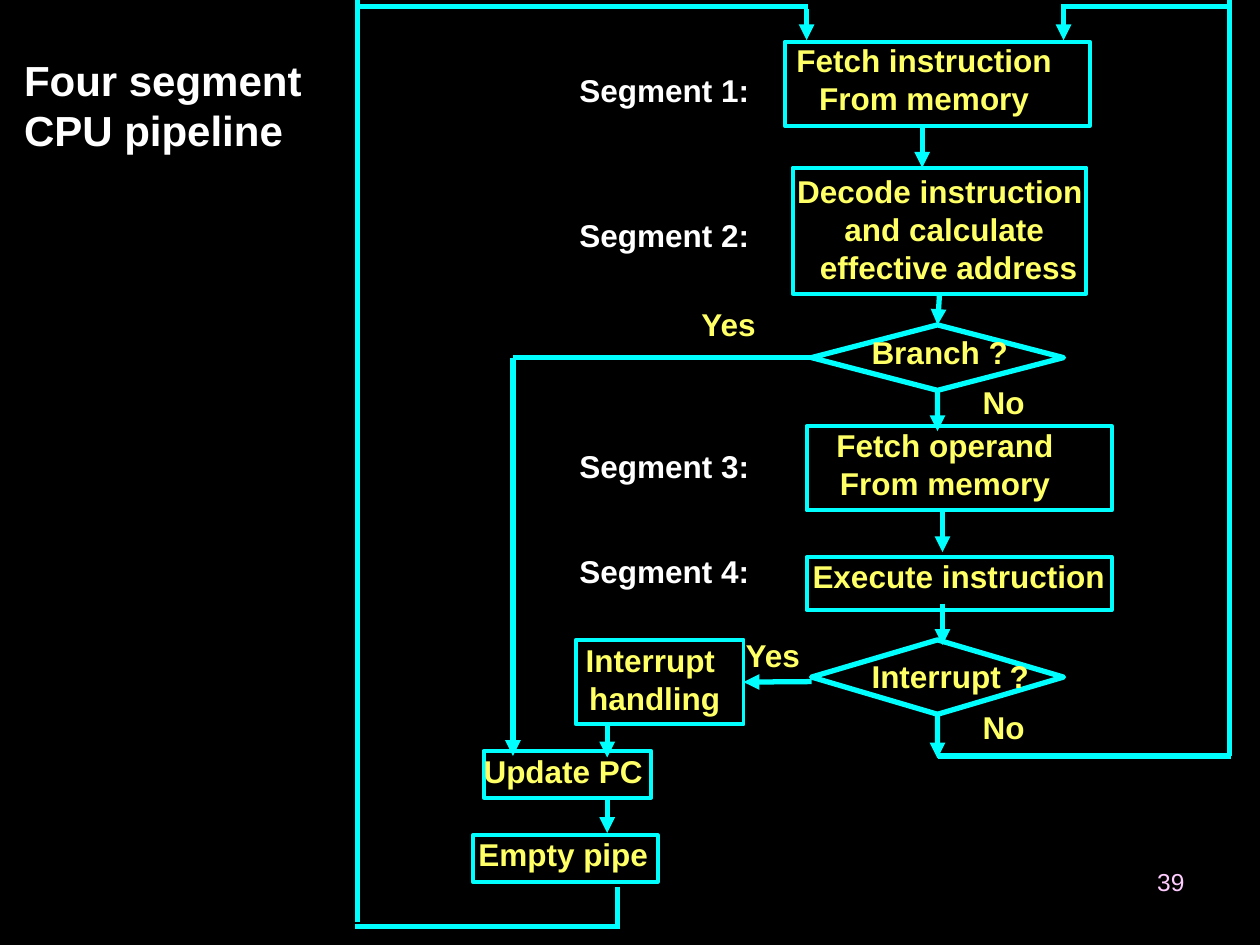
"""Build a flowchart slide of a four segment CPU pipeline."""
from lxml import etree
from pptx import Presentation
from pptx.dml.color import RGBColor
from pptx.enum.shapes import MSO_CONNECTOR, MSO_SHAPE
from pptx.enum.text import MSO_ANCHOR, MSO_AUTO_SIZE, PP_ALIGN
from pptx.oxml.ns import qn
from pptx.util import Cm, Pt

BLACK = RGBColor(0x00, 0x00, 0x00)
WHITE = RGBColor(0xFF, 0xFF, 0xFF)
CYAN = RGBColor(0x00, 0xFF, 0xFF)
YELLOW = RGBColor(0xFF, 0xFF, 0x66)
PINK = RGBColor(0xFF, 0xCC, 0xFF)

RECT, DIAMOND = MSO_SHAPE.RECTANGLE, MSO_SHAPE.DIAMOND
STRAIGHT = MSO_CONNECTOR.STRAIGHT
LEFT, CENTER, RIGHT = PP_ALIGN.LEFT, PP_ALIGN.CENTER, PP_ALIGN.RIGHT
TOP_ANCHOR = MSO_ANCHOR.TOP
NO_FIT = MSO_AUTO_SIZE.NONE
TOP_SIDE, LEFT_SIDE, BOTTOM_SIDE, RIGHT_SIDE = range(4)
FONT = "Arial"
LINE_H = 1.02


class Flowchart:
    """Holds the style and the current slide."""

    def __init__(self, s):
        self.s = s
        fill = s.background.fill
        fill.solid()
        fill.fore_color.rgb = BLACK

    def set_text(self, tf, lines, size, color, align, bold=True, wrap=False):
        tf.word_wrap = wrap
        tf.auto_size = NO_FIT
        tf.vertical_anchor = TOP_ANCHOR
        for i, line in enumerate(lines):
            p = tf.add_paragraph() if i else tf.paragraphs[0]
            p.alignment = align
            r = p.add_run()
            r.text = line
            r.font.name = FONT
            r.font.size = Pt(size)
            r.font.bold = bold
            r.font.color.rgb = color

    def title(self, text, x, y, w, h):
        sp = self.s.shapes.title
        sp.left, sp.top, sp.width, sp.height = Cm(x), Cm(y), Cm(w), Cm(h)
        self.set_text(sp.text_frame, [text], 24, WHITE, LEFT, wrap=True)

    def text(self, lines, x, y, w, h=LINE_H, size=18, color=YELLOW, align=LEFT, bold=True):
        sp = self.s.shapes.add_textbox(Cm(x), Cm(y), Cm(w), Cm(h))
        self.set_text(sp.text_frame, lines, size, color, align, bold)

    def shape(self, kind, x, y, w, h, weight):
        sp = self.s.shapes.add_shape(kind, Cm(x), Cm(y), Cm(w), Cm(h))
        sp.shadow.inherit = False
        sp.fill.background()
        sp.line.color.rgb = CYAN
        sp.line.width = Pt(weight)
        return sp

    def box(self, x, y, w, h):
        return self.shape(RECT, x, y, w, h, 2.25)

    def diamond(self, x, y, w, h):
        return self.shape(DIAMOND, x, y, w, h, 3)

    def line(self, x1, y1, x2, y2, begin=None, end=None, arrow=False):
        c = self.s.shapes.add_connector(STRAIGHT, Cm(x1), Cm(y1), Cm(x2), Cm(y2))
        if begin:
            c.begin_connect(*begin)
        if end:
            c.end_connect(*end)
        c.line.color.rgb = CYAN
        c.line.width = Pt(3)
        sp_pr = c._element.spPr
        if arrow:
            etree.SubElement(sp_pr.find(qn("a:ln")), qn("a:tailEnd"), type="triangle")
        etree.SubElement(sp_pr, qn("a:effectLst"))

    def arrow(self, x1, y1, x2, y2, begin=None, end=None):
        self.line(x1, y1, x2, y2, begin, end, True)


def main():
    prs = Presentation()
    prs.slide_width, prs.slide_height = Cm(25.4), Cm(19.05)
    chart = Flowchart(prs.slides.add_slide(prs.slide_layouts[5]))
    chart.title("Four segment CPU pipeline", 0.23, 0.97, 6.53, 2.29)

    chart.box(15.82, 0.84, 6.15, 1.7)
    decode = chart.box(15.98, 3.38, 5.92, 2.54)
    branch = chart.diamond(16.36, 6.55, 5.08, 1.32)
    chart.box(16.26, 8.59, 6.15, 1.7)
    chart.box(16.26, 11.23, 6.15, 1.07)
    interrupt = chart.diamond(16.36, 12.9, 5.08, 1.5)
    handling = chart.box(11.61, 12.9, 3.38, 1.7)
    chart.box(9.75, 15.14, 3.38, 0.94)
    chart.box(9.53, 16.84, 3.73, 0.94)

    chart.arrow(18.94, 5.92, 18.9, 6.55, (decode, BOTTOM_SIDE), (branch, TOP_SIDE))
    chart.line(16.36, 7.21, 10.34, 7.21, (branch, LEFT_SIDE))
    chart.arrow(18.9, 7.87, 18.9, 8.69, (branch, BOTTOM_SIDE))
    chart.arrow(16.36, 13.74, 14.99, 13.75, end=(handling, RIGHT_SIDE))
    chart.arrow(18.9, 14.4, 18.9, 15.29, (interrupt, BOTTOM_SIDE))

    for x, top, bottom in (
        (16.26, 0.18, 0.81),
        (21.44, 0.18, 0.81),
        (18.59, 2.51, 3.38),
        (19, 10.26, 11.13),
        (19, 12.17, 13),
        (12.24, 14.61, 15.27),
        (12.24, 16.13, 16.79),
        (10.34, 7.21, 15.24),
    ):
        chart.arrow(x, top, x, bottom)

    for ends in (
        (18.9, 15.24, 24.82, 15.24),
        (24.79, 15.24, 24.79, 0),
        (21.39, 0.13, 24.79, 0.13),
        (7.21, 18.59, 7.21, 0),
        (7.16, 0.13, 16.28, 0.13),
        (12.45, 17.88, 12.45, 18.72),
        (7.16, 18.67, 12.5, 18.67),
    ):
        chart.line(*ends)

    for lines, x, y, w, h in (
        (["Fetch instruction", "From memory"], 15.8, 0.71, 5.66, 1.78),
        (["Decode instruction ", "and calculate", " effective address"], 15.82, 3.35, 6.43, 2.54),
        (["Fetch operand", "From memory"], 16.61, 8.46, 4.88, 1.78),
        (["Interrupt ", "handling"], 11.56, 12.8, 3.28, 1.78),
        (["Update PC"], 9.5, 15.04, 3.71, LINE_H),
        (["Empty pipe"], 9.4, 16.71, 3.91, LINE_H),
    ):
        chart.text(lines, x, y, w, h, align=CENTER)

    for label, x, y, w in (
        ("Branch ?", 17.32, 6.58, 3.25),
        ("Yes", 13.89, 6.02, 1.63),
        ("No", 19.56, 7.59, 1.35),
        ("Execute instruction", 16.13, 11.1, 6.99),
        ("Interrupt ?", 17.32, 13.13, 3.68),
        ("Yes", 14.78, 12.7, 1.63),
        ("No", 19.56, 14.15, 1.35),
    ):
        chart.text([label], x, y, w)

    for n, y in enumerate((1.3, 4.24, 8.89, 11), 1):
        chart.text([f"Segment {n}:"], 11.43, y, 3.94, color=WHITE)
    chart.text(["39"], 18.21, 17.35, 5.92, 1.32, 14, PINK, RIGHT, False)

    prs.save("out.pptx")


if __name__ == "__main__":
    main()
